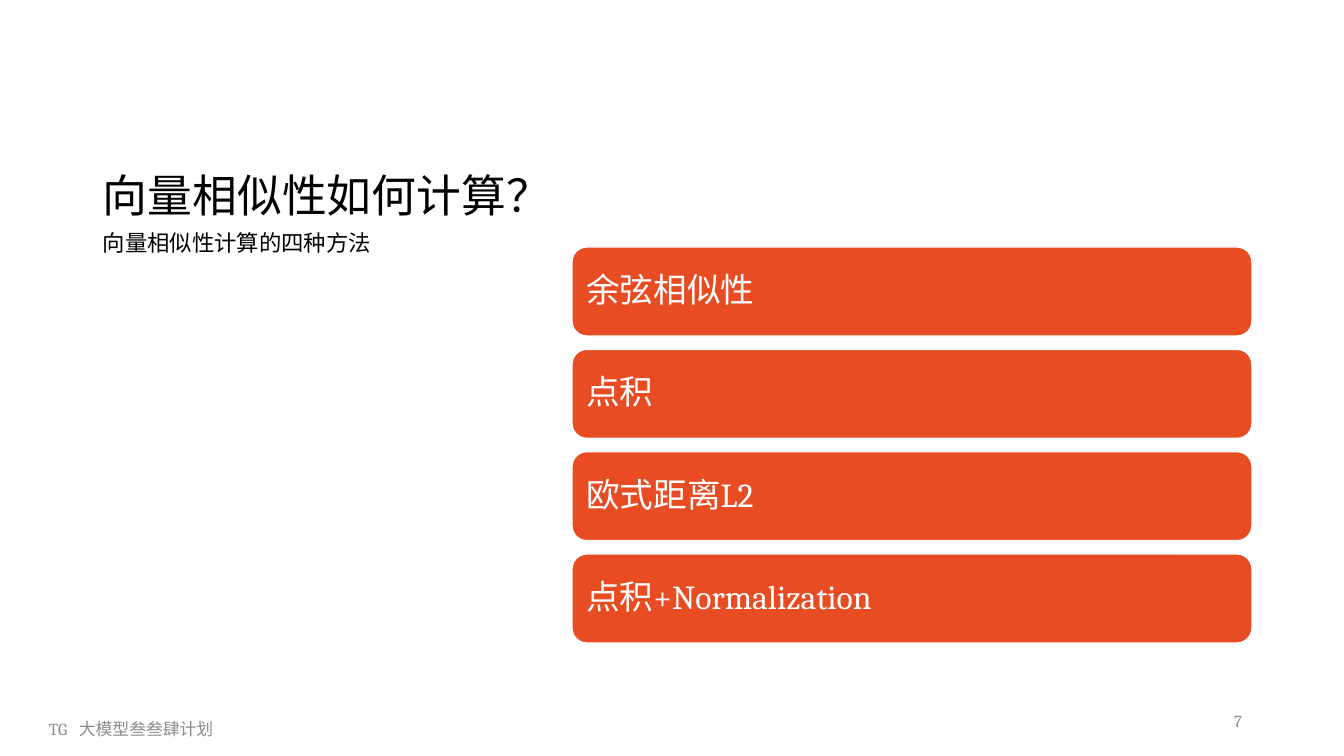
import pptx
import pptx.util
import pptx.dml.color
import pptx.enum.shapes
import pptx.enum.text
import pptx.oxml.ns
import lxml.etree

TITLE = "向量相似性如何计算？"
SUBTITLE = "向量相似性计算的四种方法"
METHODS = ["余弦相似性", "点积", "欧式距离L2", "点积+Normalization"]
FOOTER = "TG\t大模型叁叁肆计划"
PAGE_NUMBER = "7"

BLACK, WHITE, GREY, ORANGE = "000000", "FFFFFF", "8C8C8C", "E84C22"
PX = 914400 / 100.8
CARD_LEFT, CARD_WIDTH, CARD_HEIGHT = 572, 680, 89
FIRST_TOP, LAST_TOP = 247, 554
CARD_INSET = 10
FOOTER_TAB = 30

ALIGN = pptx.enum.text.PP_ALIGN
ANCHOR = pptx.enum.text.MSO_ANCHOR


def px(length):
    return pptx.util.Emu(round(length * PX))


def color(value):
    return pptx.dml.color.RGBColor.from_string(value)


def write(holder, text, size, ink, font="Cambria", anchor=ANCHOR.TOP,
          align=ALIGN.LEFT, spacing=1.0, inset=None, tab=None):
    frame = holder.text_frame
    frame.word_wrap = True
    frame.vertical_anchor = anchor
    if inset is not None:
        frame.margin_left = frame.margin_right = px(inset)
        frame.margin_top = frame.margin_bottom = px(inset)
    paragraph = frame.paragraphs[0]
    paragraph.alignment = align
    paragraph.line_spacing = spacing
    properties = paragraph._p.get_or_add_pPr()
    properties.set("hangingPunct", "1")
    if tab is not None:
        qn = pptx.oxml.ns.qn
        stops = lxml.etree.SubElement(properties, qn("a:tabLst"))
        lxml.etree.SubElement(stops, qn("a:tab"), pos=str(px(tab)), algn="l")
    run = paragraph.add_run()
    run.text = text
    run.font.name = font
    run.font.size = pptx.util.Pt(size)
    run.font.color.rgb = color(ink)


deck = pptx.Presentation()
deck.slide_width, deck.slide_height = px(1344), px(756)
slide = deck.slides.add_slide(deck.slide_layouts[6])


def add_text(box, text, size, ink, **style):
    write(slide.shapes.add_textbox(*map(px, box)), text, size, ink, **style)


add_text((93, 50, 433, 177), TITLE, 32, BLACK,
         font="Calibri", anchor=ANCHOR.BOTTOM, spacing=0.9)
add_text((93, 227, 433, 420), SUBTITLE, 16, BLACK, spacing=0.9)
add_text((950, 701, 302, 40), PAGE_NUMBER, 12, GREY,
         anchor=ANCHOR.MIDDLE, align=ALIGN.RIGHT)

pitch = (LAST_TOP - FIRST_TOP) / (len(METHODS) - 1)
for index, method in enumerate(METHODS):
    card = slide.shapes.add_shape(
        pptx.enum.shapes.MSO_SHAPE.ROUNDED_RECTANGLE,
        px(CARD_LEFT), px(FIRST_TOP + index * pitch),
        px(CARD_WIDTH), px(CARD_HEIGHT))
    card.shadow.inherit = False
    card.fill.solid()
    card.fill.fore_color.rgb = color(ORANGE)
    card.line.color.rgb = color(WHITE)
    card.line.width = pptx.util.Pt(1)
    write(card, method, 24, WHITE, anchor=ANCHOR.MIDDLE,
          spacing=0.9, inset=CARD_INSET)

add_text((39, 709, 752, 40), FOOTER, 12, GREY,
         anchor=ANCHOR.MIDDLE, tab=FOOTER_TAB)

deck.save("out.pptx")
